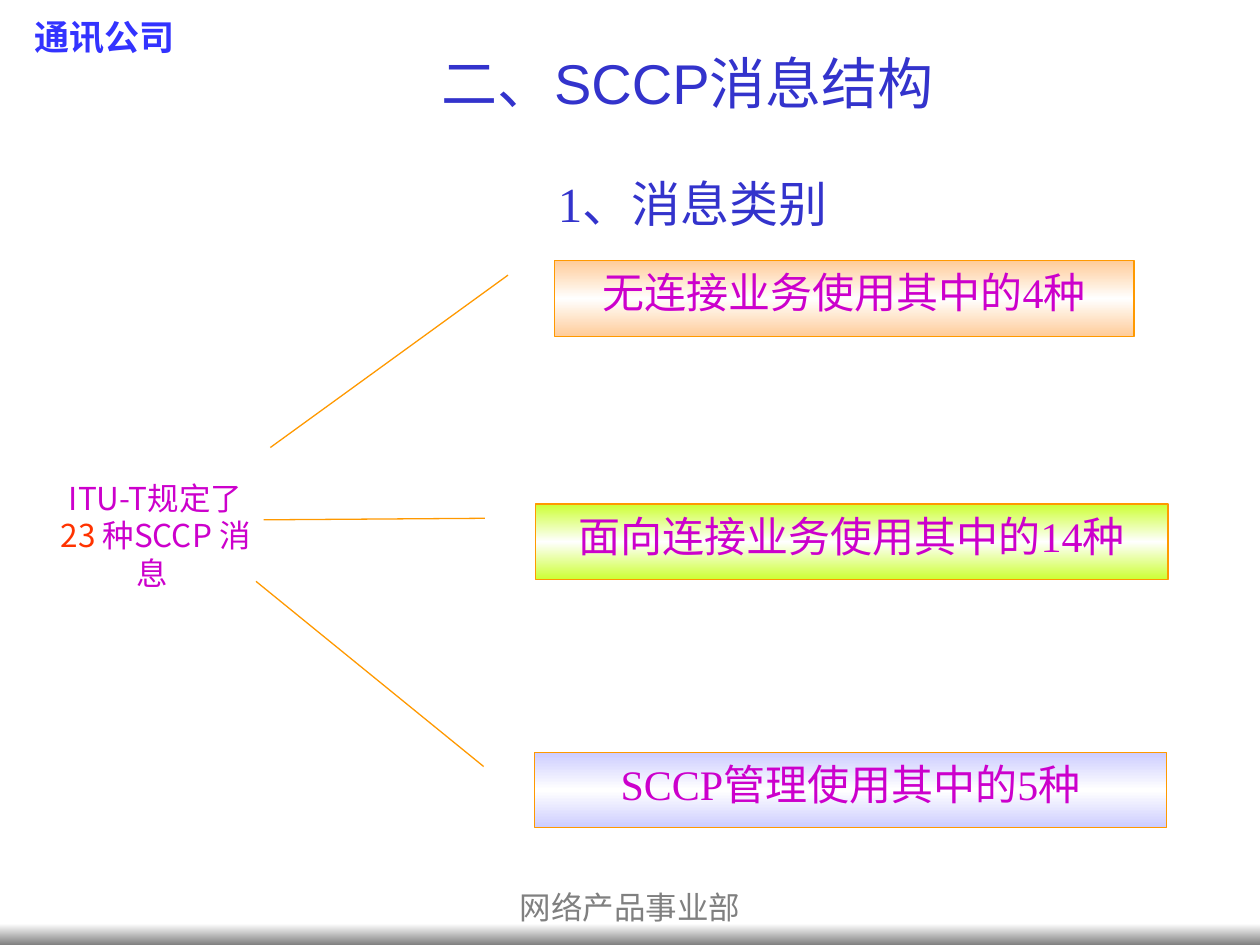
from copy import deepcopy
from dataclasses import dataclass

from lxml import etree
from pptx import Presentation
from pptx.dml.color import RGBColor
from pptx.enum import shapes, text
from pptx.oxml import ns
from pptx.util import Inches, Pt

HUES = {
    "blue": "3333CC", "brand": "3333FF", "pink": "CC00CC", "red": "FF3300",
    "gray": "808080", "white": "FFFFFF", "line": "FF9900", "shade": "C0C0C0",
    "peach": "FFCC99", "lime": "CCFF33", "lilac": "CCCCFF",
}
SERIF = "Times New Roman"
MID = text.PP_ALIGN.CENTER


@dataclass
class Label:
    box: tuple[float, float, float, float]
    runs: list[tuple[str, str]]
    size: int
    face: str = SERIF
    align: text.PP_ALIGN = MID
    bold: bool = False
    left: float = 0.1
    right: float = 0.1
    anchor: text.MSO_ANCHOR = text.MSO_ANCHOR.TOP


@dataclass
class Callout:
    box: tuple[float, float, float, float]
    words: str
    hue: str
    tip: tuple[float, float]


def rgb(hue: str) -> RGBColor:
    return RGBColor.from_string(HUES[hue])


def write(frame, item: Label) -> None:
    frame.word_wrap = True
    frame.vertical_anchor = item.anchor
    frame.margin_left, frame.margin_right = Inches(item.left), Inches(item.right)
    frame.margin_top = frame.margin_bottom = Inches(0.05)
    para = frame.paragraphs[0]
    para.alignment = item.align
    font = para.font
    font.size, font.name, font.bold = Pt(item.size), item.face, item.bold
    font.color.rgb = rgb(item.runs[0][1])
    for words, hue in item.runs:
        run = para.add_run()
        run.text = words
        if len(item.runs) > 1:
            run.font.color.rgb = rgb(hue)


def put(slide, item: Label):
    box = slide.shapes.add_textbox(*map(Inches, item.box))
    write(box.text_frame, item)
    return box


def blend(shape, hues: list[str]) -> None:
    shape.fill.gradient()
    shape.fill.gradient_angle = 270
    stops = shape._element.spPr.find(".//" + ns.qn("a:gsLst"))
    for _ in hues[2:]:
        stops.append(deepcopy(stops[-1]))
    for i, (stop, hue) in enumerate(zip(shape.fill.gradient_stops, hues)):
        stop.color.rgb = rgb(hue)
        stop.position = i / (len(hues) - 1)


def call(slide, item: Callout) -> None:
    shape = slide.shapes.add_shape(
        shapes.MSO_SHAPE.LINE_CALLOUT_1, *map(Inches, item.box))
    shape.shadow.inherit = False
    for i, value in enumerate((0.19, -0.08, *item.tip)):
        shape.adjustments[i] = value
    blend(shape, [item.hue, "white", item.hue])
    shape.line.color.rgb = rgb("line")
    shape.line.width = Pt(0.75)
    write(shape.text_frame, Label(item.box, [(item.words, "pink")], 24))


def shade(box) -> None:
    props = box.text_frame.paragraphs[0].runs[0].font._element
    fx = etree.SubElement(props, ns.qn("a:effectLst"))
    cast = etree.SubElement(
        fx, ns.qn("a:outerShdw"), dist="25400", dir="2700000")
    etree.SubElement(cast, ns.qn("a:srgbClr"), val=HUES["shade"])


LABELS = [
    Label((1.67, 0.33, 7.58, 0.64), [("二、SCCP消息结构", "blue")], 32,
          "Arial", anchor=text.MSO_ANCHOR.MIDDLE),
    Label((0.42, 3.75, 1.67, 1),
          [("ITU-T规定了", "pink"), ("23 ", "red"), ("种SCCP 消 息 ", "pink")],
          18, "Noto Sans CJK SC", left=0, right=0.04),
    Label((4.33, 1.33, 3.67, 0.57), [("1、消息类别", "blue")], 28,
          align=text.PP_ALIGN.LEFT),
    Label((0, 7, 10, 0.5), [("网络产品事业部", "gray")], 18),
]
CALLS = [
    Callout((4.4, 2.07, 4.6, 0.6), "无连接业务使用其中的4种", "peach", (2.47, -0.49)),
    Callout((4.25, 4, 5.02, 0.6), "面向连接业务使用其中的14种", "lime", (0.21, -0.43)),
    Callout((4.24, 5.97, 5.02, 0.6), "SCCP管理使用其中的5种", "lilac", (-2.26, -0.44)),
]


def main() -> None:
    deck = Presentation()
    deck.slide_width, deck.slide_height = Inches(10), Inches(7.5)
    slide = deck.slides.add_slide(deck.slide_layouts[6])
    bar = slide.shapes.add_shape(
        shapes.MSO_SHAPE.RECTANGLE, *map(Inches, (0, 7.33, 10, 0.17)))
    bar.shadow.inherit = False
    bar.line.fill.background()
    blend(bar, ["white", "gray"])
    shade(put(slide, Label((0.08, 0.07, 1.5, 0.44), [("通讯公司", "brand")],
                           20, bold=True)))
    for item in LABELS:
        put(slide, item)
    for item in CALLS:
        call(slide, item)
    deck.save("out.pptx")


if __name__ == "__main__":
    main()
